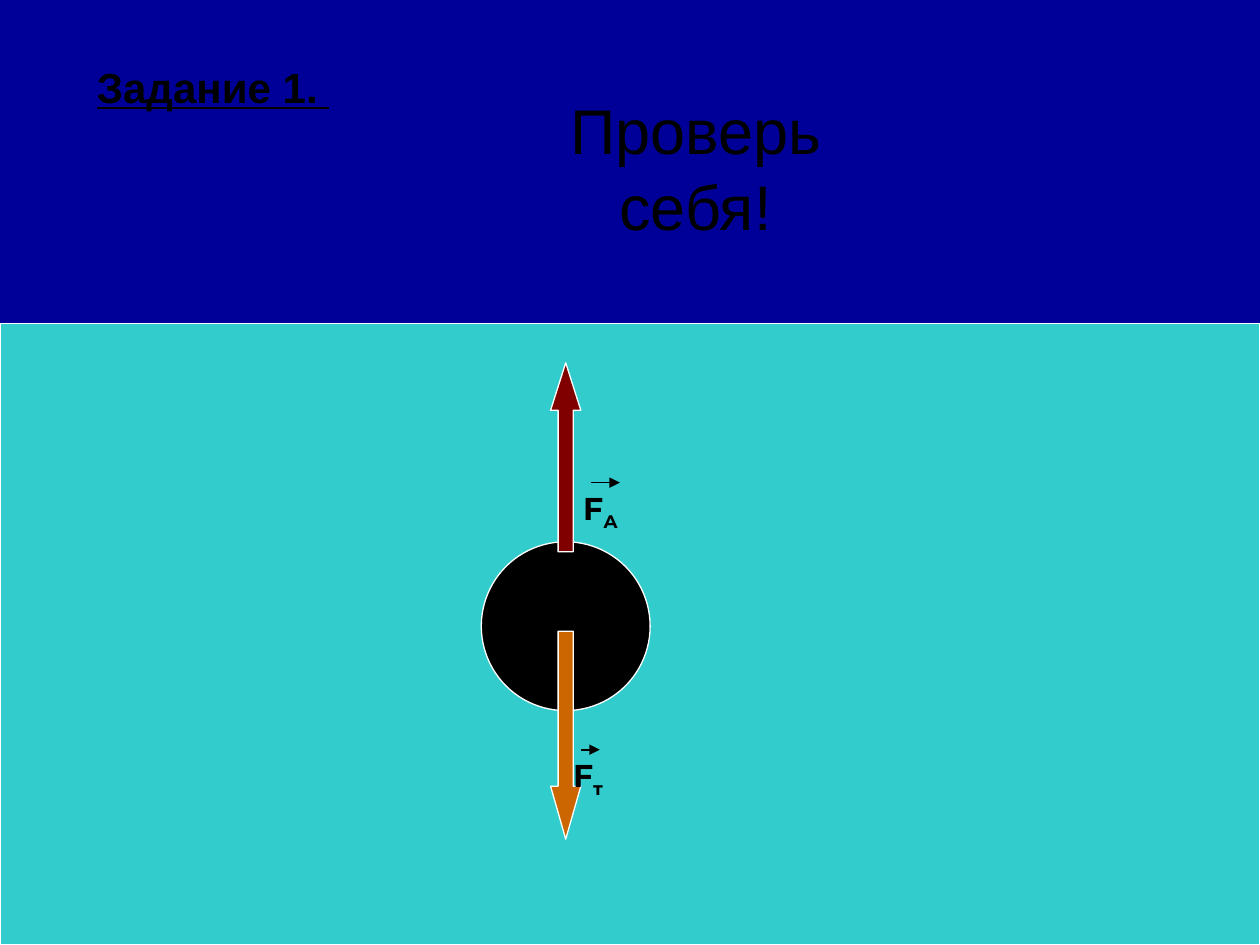
from lxml.etree import SubElement
from pptx import Presentation
from pptx.dml.color import RGBColor
from pptx.enum.shapes import MSO_CONNECTOR, MSO_SHAPE as SHAPE
from pptx.enum.text import MSO_ANCHOR, MSO_AUTO_SIZE, PP_ALIGN
from pptx.oxml.ns import qn
from pptx.util import Inches, Pt

NAVY = RGBColor(0x00, 0x00, 0x99)
WATER = RGBColor(0x33, 0xCC, 0xCC)
ORANGE = RGBColor(0xCC, 0x66, 0x00)
MAROON = RGBColor(0x80, 0x00, 0x00)
BLACK = RGBColor(0x00, 0x00, 0x00)
WHITE = RGBColor(0xFF, 0xFF, 0xFF)


def place(sp, x, y, w, h):
    """Move and size a shape in inches."""
    sp.left, sp.top, sp.width, sp.height = map(Inches, (x, y, w, h))


def write(sp, text, size=18, font="Arial", bold=False, underline=False,
          align=PP_ALIGN.LEFT, wrap=True, sub=""):
    """Write one formatted line, with an optional subscript."""
    tf = sp.text_frame
    tf.word_wrap = wrap
    tf.auto_size = MSO_AUTO_SIZE.NONE
    tf.vertical_anchor = MSO_ANCHOR.TOP
    p = tf.paragraphs[0]
    p.alignment = align
    for part in filter(None, (text, sub)):
        r = p.add_run()
        r.text = part
        r.font.name = font
        r.font.size = Pt(size)
        r.font.bold = bold
        r.font.underline = underline
        r.font.color.rgb = BLACK
    if sub:
        r.font._element.set("baseline", "-25000")


def add_text(s, box, text, **fmt):
    """Add a text box."""
    write(s.shapes.add_textbox(*map(Inches, box)), text, **fmt)


def add_figure(s, kind, box, color, head=None):
    """Add a filled shape with a thin white outline."""
    sp = s.shapes.add_shape(kind, *map(Inches, box))
    sp.shadow.inherit = False
    sp.fill.solid()
    sp.fill.fore_color.rgb = color
    sp.line.color.rgb = WHITE
    sp.line.width = Pt(0.75)
    if head:
        sp.adjustments[0] = 0.5
        sp.adjustments[1] = head


def add_vector_sign(s, x1, x2, y, width):
    """Add the small arrow that stands above a force symbol."""
    c = s.shapes.add_connector(MSO_CONNECTOR.STRAIGHT,
                               *map(Inches, (x1, y, x2, y)))
    c.line.color.rgb = BLACK
    c.line.width = Pt(width)
    SubElement(c.line._get_or_add_ln(), qn("a:tailEnd"), type="triangle")
    SubElement(c._element.spPr, qn("a:effectLst"))


def add_force(s, x, y, sub, x1, x2, width):
    """Add a force symbol with its vector sign."""
    add_text(s, (x, y, 0.79, 0.4), "F", font="Montserrat", bold=True, sub=sub)
    add_vector_sign(s, x1, x2, y, width)


def main():
    """Build the slide."""
    prs = Presentation()
    prs.slide_width, prs.slide_height = Inches(10), Inches(7.5)
    s = prs.slides.add_slide(prs.slide_layouts[5])
    s.background.fill.solid()
    s.background.fill.fore_color.rgb = NAVY

    title = s.shapes.title
    place(title, 3.82, 0.68, 3.4, 1.29)
    write(title, "Проверь себя!", size=36, align=PP_ALIGN.CENTER, wrap=False)
    add_text(s, (0.67, 0.44, 7.09, 0.5), "Задание 1. ", size=24, bold=True,
             underline=True)

    add_figure(s, SHAPE.RECTANGLE, (0, 2.57, 10, 4.93), WATER)
    add_figure(s, SHAPE.OVAL, (3.82, 4.3, 1.34, 1.34), BLACK)
    add_figure(s, SHAPE.DOWN_ARROW, (4.37, 5.01, 0.24, 1.65), ORANGE, 1.75)
    add_figure(s, SHAPE.UP_ARROW, (4.37, 2.88, 0.24, 1.5), MAROON, 1.57)
    add_force(s, 4.45, 5.95, "т", 4.61, 4.76, 1)
    add_force(s, 4.53, 3.83, "А", 4.69, 4.92, 0.75)
    prs.save("out.pptx")


if __name__ == "__main__":
    main()
